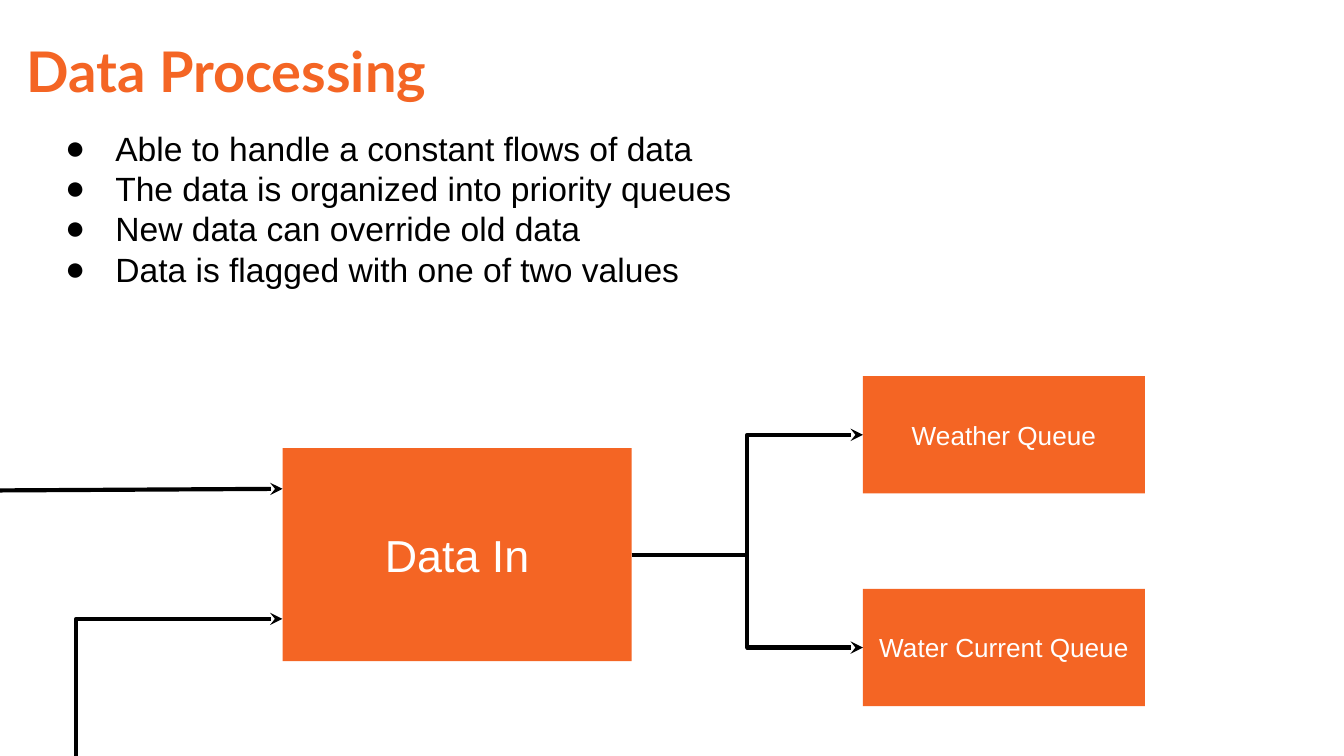
from collections import namedtuple
from dataclasses import dataclass

from lxml import etree
from pptx import Presentation
from pptx import util as u
from pptx.dml.color import RGBColor
from pptx.enum import shapes, text
from pptx.oxml.ns import qn

Box = namedtuple("Box", "x y w h")


@dataclass(frozen=True)
class Theme:
    main: str = "F46524"
    ink: str = "000000"
    pale: str = "FFFFFF"
    head: str = "Lato"
    face: str = "Arial"
    title: int = 30
    big: int = 24
    body: int = 18
    small: int = 14
    line: float = 2.25


LOOK = Theme()
PAD = 0.25


def rgb(code):
    return RGBColor.from_string(code)


def place(shape, box):
    shape.left, shape.top, shape.width, shape.height = map(u.Cm, box)


def style(frame, face, size, color, anchor, align, bold=False):
    frame.word_wrap = True
    frame.auto_size = text.MSO_AUTO_SIZE.NONE
    frame.vertical_anchor = anchor
    frame.margin_left = frame.margin_right = u.Cm(PAD)
    frame.margin_top = frame.margin_bottom = u.Cm(PAD)
    for para in frame.paragraphs:
        para.alignment = align
        for run in para.runs:
            font = run.font
            font.name, font.size, font.bold = face, u.Pt(size), bold
            font.color.rgb = rgb(color)


def bullet(para, indent, hang):
    props = para._p.get_or_add_pPr()
    props.set("marL", str(u.Cm(indent)))
    props.set("indent", str(-u.Cm(hang)))
    font = etree.SubElement(props, qn("a:buFont"))
    font.set("typeface", LOOK.face)
    etree.SubElement(props, qn("a:buChar")).set("char", "●")


def add_title(slide, box, words):
    shape = slide.shapes.title
    place(shape, box)
    frame = shape.text_frame
    frame.text = words
    style(frame, LOOK.head, LOOK.title, LOOK.main,
          text.MSO_ANCHOR.TOP, text.PP_ALIGN.LEFT, bold=True)
    frame.paragraphs[0].line_spacing = 1.15
    frame.paragraphs[0].space_after = u.Pt(16)


def add_list(slide, box, items):
    shape = slide.placeholders[1]
    place(shape, box)
    frame = shape.text_frame
    frame.text = "\n".join(items)
    style(frame, LOOK.face, LOOK.body, LOOK.ink,
          text.MSO_ANCHOR.TOP, text.PP_ALIGN.LEFT)
    for para in frame.paragraphs:
        para.line_spacing = 1.0
        para.space_before = para.space_after = u.Pt(0)
        bullet(para, 1.27, 0.95)


def add_node(slide, box, words, size):
    shape = slide.shapes.add_shape(shapes.MSO_SHAPE.RECTANGLE, *map(u.Cm, box))
    shape.shadow.inherit = False
    shape.fill.solid()
    shape.fill.fore_color.rgb = rgb(LOOK.main)
    shape.line.fill.background()
    shape.text_frame.text = words
    style(shape.text_frame, LOOK.face, size, LOOK.pale,
          text.MSO_ANCHOR.MIDDLE, text.PP_ALIGN.CENTER)


def add_arrow(slide, start, end, bend=None):
    """Draw an arrow; bend is the share of its width where an elbow turns."""
    kind = shapes.MSO_CONNECTOR
    form = kind.STRAIGHT if bend is None else kind.ELBOW
    arrow = slide.shapes.add_connector(form, *map(u.Cm, start + end))
    arrow.line.color.rgb = rgb(LOOK.ink)
    arrow.line.width = u.Pt(LOOK.line)
    props = arrow._element.spPr
    if bend is not None:
        guide = etree.SubElement(props.find(qn("a:prstGeom")).find(qn("a:avLst")),
                                 qn("a:gd"))
        guide.set("name", "adj1")
        guide.set("fmla", f"val {round(bend * 100000)}")
    tip = etree.SubElement(props.find(qn("a:ln")), qn("a:tailEnd"))
    tip.set("type", "stealth")
    etree.SubElement(props, qn("a:effectLst"))


def add_flow(slide, box, hub, queues):
    """Draw the inputs, the hub they enter and the queues it feeds."""
    core = Box(box.x + 5.34, box.y + 1.36, 6.6, 4.03)
    add_node(slide, core, hub, LOOK.big)
    out = (core.x + core.w, core.y + core.h / 2)
    for row, words in enumerate(queues):
        node = Box(box.x + 16.31, box.y + row * 4.02, 5.33, 2.22)
        add_node(slide, node, words, LOOK.small)
        add_arrow(slide, out, (node.x, node.y + node.h / 2), bend=0.5)
    add_arrow(slide, (box.x, box.y + 2.16), (core.x, box.y + 2.13))
    add_arrow(slide, (box.x + 1.4, box.y + box.h),
              (core.x, box.y + 4.59), bend=0.01)


def main():
    deck = Presentation()
    deck.slide_width, deck.slide_height = u.Cm(25.4), u.Cm(14.29)
    slide = deck.slides.add_slide(deck.slide_layouts[1])
    add_title(slide, Box(0.25, 0.25, 10.85, 1.9), "Data Processing")
    add_list(slide, Box(0.66, 2.16, 17.83, 4.01), [
        "Able to handle a constant flows of data",
        "The data is organized into priority queues",
        "New data can override old data",
        "Data is flagged with one of two values",
    ])
    add_flow(slide, Box(0, 7.11, 25.4, 7.18), "Data In",
             ["Weather Queue", "Water Current Queue"])
    deck.save("out.pptx")


if __name__ == "__main__":
    main()
